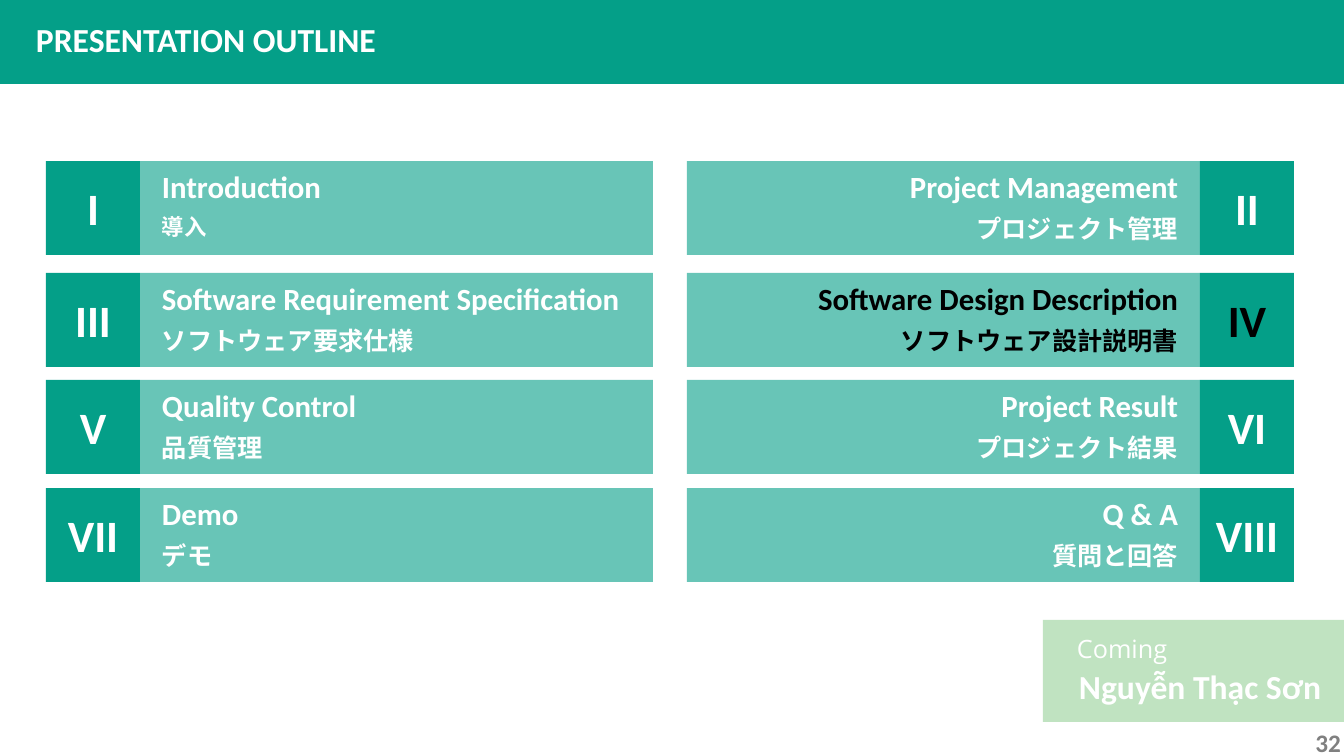
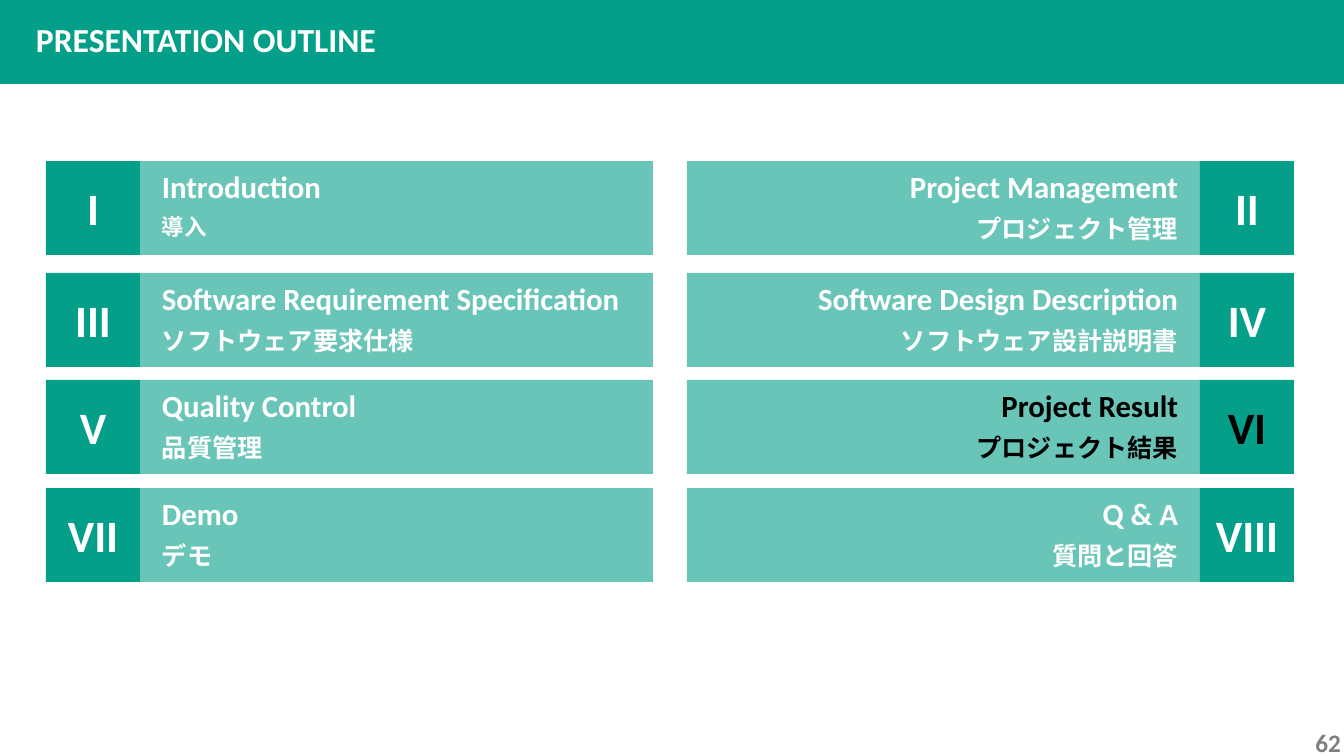
from lxml.etree import SubElement
from pptx import Presentation
from pptx.dml.color import RGBColor
from pptx.enum.shapes import MSO_SHAPE
from pptx.enum.text import MSO_ANCHOR, PP_ALIGN
from pptx.oxml.ns import qn
from pptx.util import Emu, Pt

EMU_PER_PX = 914400 / 100.8
PAGE_WIDTH, PAGE_HEIGHT = 1344, 756
TEAL, GREEN, WHITE, BLACK, GRAY = "049F88", "4CAF50", "FFFFFF", "000000", "808080"
HEADING_FONT, JAPANESE_FONT, NOTE_FONT = "Calibri", "Times New Roman", "Open Sans"

LEFT_COLUMN, RIGHT_COLUMN, ROW_WIDTH = 46, 687, 607
ROW_TOPS = (161, 273, 380, 488)
ROW_HEIGHT = NUMERAL_WIDTH = 94
BAR_PADDING = 22

SECTIONS = (
    ("I", "Introduction", "導入", 16),
    ("II", "Project Management", "プロジェクト管理", 18),
    ("III", "Software Requirement Specification", "ソフトウェア要求仕様", 18),
    ("IV", "Software Design Description", "ソフトウェア設計説明書", 18),
    ("V", "Quality Control", "品質管理", 18),
    ("VI", "Project Result", "プロジェクト結果", 18),
    ("VII", "Demo", "デモ", 18),
    ("VIII", "Q & A", "質問と回答", 18),
)


def px(length):
    """Turn a length in px into EMU."""
    return Emu(round(length * EMU_PER_PX))


def color(hex_string):
    """Turn a hex string into a colour."""
    return RGBColor.from_string(hex_string)


def write(shape, text, size, font=HEADING_FONT, fill=WHITE, bold=True,
          align=PP_ALIGN.LEFT, anchor=MSO_ANCHOR.TOP):
    """Put one formatted paragraph into a shape or text box."""
    frame = shape.text_frame
    frame.word_wrap = True
    frame.vertical_anchor = anchor
    frame.margin_left = frame.margin_right = frame.margin_top = frame.margin_bottom = 0
    para = frame.paragraphs[0]
    para.alignment = align
    span = para.add_run()
    span.text = text
    span.font.name = font
    span.font.size = Pt(size)
    span.font.bold = bold
    span.font.color.rgb = color(fill)


def add_label(page, box, text, size, **text_format):
    """Add a text box holding one paragraph."""
    label = page.shapes.add_textbox(*map(px, box))
    write(label, text, size, **text_format)


def add_panel(page, box, fill, opacity=100):
    """Add a borderless rectangle, see-through below full opacity."""
    panel = page.shapes.add_shape(MSO_SHAPE.RECTANGLE, *map(px, box))
    panel.shadow.inherit = False
    panel.line.fill.background()
    panel.fill.solid()
    panel.fill.fore_color.rgb = color(fill)
    if opacity < 100:
        tint = panel.fill._xPr.find(qn("a:solidFill"))[0]
        SubElement(tint, qn("a:alpha")).set("val", str(opacity * 1000))
    return panel


def add_header(page, box, title):
    """Add the title band."""
    left, top, width, height = box
    add_panel(page, box, TEAL)
    add_label(page, (left + 36, top + 19, width - 72, 40), title, 24)


def add_section(page, box, section, mirrored, active):
    """Add one outline row, with its numeral on the outer side."""
    left, top, width, height = box
    numeral, title, japanese, japanese_size = section
    bar_width = width - NUMERAL_WIDTH
    numeral_left = left + bar_width if mirrored else left
    bar_left = left if mirrored else left + NUMERAL_WIDTH
    ink = BLACK if active else WHITE
    align = PP_ALIGN.RIGHT if mirrored else PP_ALIGN.LEFT

    square = add_panel(page, (numeral_left, top, NUMERAL_WIDTH, height), TEAL)
    write(square, numeral, 32, fill=ink, align=PP_ALIGN.CENTER, anchor=MSO_ANCHOR.MIDDLE)
    add_panel(page, (bar_left, top, bar_width, height), TEAL, opacity=60)
    text_left, text_width = bar_left + BAR_PADDING, bar_width - 2 * BAR_PADDING
    add_label(page, (text_left, top + 7, text_width, 37), title, 22, fill=ink, align=align)
    add_label(page, (text_left, top + 52, text_width, 30), japanese, japanese_size,
              font=JAPANESE_FONT, fill=ink, align=align)


def add_speaker(page, box, name):
    """Add the badge that announces the next speaker."""
    left, top, width, height = box
    add_panel(page, box, GREEN, opacity=35)
    add_label(page, (left + 34, top + 13, width - 34, 30), "Coming", 18,
              font=NOTE_FONT, bold=False)
    add_label(page, (left + 36, top + 46, width - 36, 40), name, 24)


def add_outline_page(deck, number, active_numeral, speaker=None):
    """Add an outline slide with the active section in black."""
    page = deck.slides.add_slide(deck.slide_layouts[6])
    for index, section in enumerate(SECTIONS):
        row, mirrored = divmod(index, 2)
        left = RIGHT_COLUMN if mirrored else LEFT_COLUMN
        add_section(page, (left, ROW_TOPS[row], ROW_WIDTH, ROW_HEIGHT), section,
                    mirrored, section[0] == active_numeral)
    add_label(page, (1241, 727, 100, 29), str(number), 18, fill=GRAY, align=PP_ALIGN.RIGHT)
    add_header(page, (0, 0, PAGE_WIDTH, 84), "PRESENTATION OUTLINE")
    if speaker:
        add_speaker(page, (1043, 620, 301, 102), speaker)


def main():
    """Build and save the deck."""
    deck = Presentation()
    deck.slide_width, deck.slide_height = px(PAGE_WIDTH), px(PAGE_HEIGHT)
    add_outline_page(deck, 32, "IV", speaker="Nguyễn Thạc Sơn")
    add_outline_page(deck, 62, "VI")
    deck.save("out.pptx")


if __name__ == "__main__":
    main()
